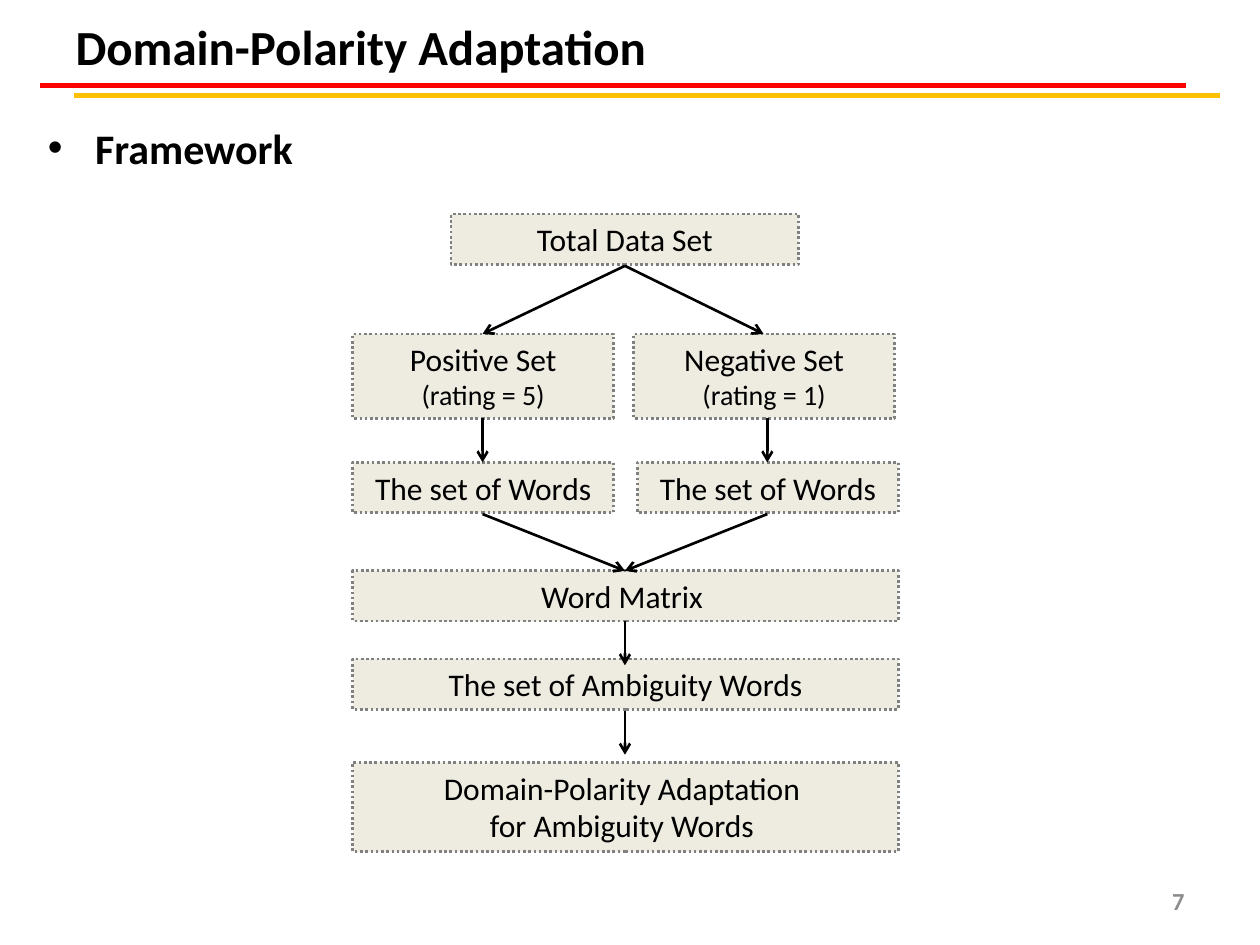
from pptx import Presentation
from pptx.dml.color import RGBColor
from pptx.enum.dml import MSO_LINE
from pptx.enum.shapes import MSO_CONNECTOR, MSO_SHAPE
from pptx.enum.text import MSO_ANCHOR, PP_ALIGN
from pptx.oxml.ns import qn
from pptx.util import Inches, Pt
from lxml import etree

RECT, STRAIGHT = MSO_SHAPE.RECTANGLE, MSO_CONNECTOR.STRAIGHT
LEFT, CENTER, RIGHT = PP_ALIGN.LEFT, PP_ALIGN.CENTER, PP_ALIGN.RIGHT
DOTTED, MIDDLE, TOP = MSO_LINE.ROUND_DOT, MSO_ANCHOR.MIDDLE, MSO_ANCHOR.TOP

COL, HALF, FULL = 2.8, 2.07, 4.33  # left edge and widths of the flow chart
ROW = 0.4
MID, LEFT_MID, RIGHT_MID = 4.96, 3.83, 6.09
STEP = 0.35  # length of a vertical arrow

# left, top, width, height, lines of (text, size)
BOXES = [
    (3.58, 1.7, 2.76, ROW, [("Total Data Set", 18)]),
    (COL, 2.65, HALF, 0.67, [("Positive Set", 18), ("(rating = 5)", 16)]),
    (5.03, 2.65, HALF, 0.67, [("Negative Set", 18), ("(rating = 1)", 16)]),
    (COL, 3.67, HALF, ROW, [("The set of Words", 18)]),
    (5.06, 3.67, HALF, ROW, [("The set of Words", 18)]),
    (COL, 4.53, FULL, ROW, [("Word Matrix ", 18)]),
    (COL, 5.23, FULL, ROW, [("The set of Ambiguity Words", 18)]),
    (COL, 6.05, FULL, 0.71, [("Domain-Polarity Adaptation ", 18),
                             ("for Ambiguity Words ", 18)]),
]
DIAGONAL_ARROWS = [
    (MID, 2.11, LEFT_MID, 2.65),
    (MID, 2.11, 6.06, 2.65),
    (LEFT_MID, 4.08, MID, 4.53),
    (RIGHT_MID, 4.08, MID, 4.53),
]
DOWN_ARROWS = [(LEFT_MID, 3.32), (RIGHT_MID, 3.32), (MID, 4.93), (MID, 5.64)]
TITLE_RULES = [(0.32, 0.68, "FF0000"), (0.59, 0.76, "FFC000")]
RULE_LENGTH = 9.09


def rgb(value):
    return RGBColor.from_string(value)


def place(sp, left, top, width, height):
    sp.left, sp.top = Inches(left), Inches(top)
    sp.width, sp.height = Inches(width), Inches(height)


def write(sp, lines, align, anchor, bold=False, color="000000"):
    tf = sp.text_frame
    tf.word_wrap = True
    tf.vertical_anchor = anchor
    tf.text = "\n".join(text for text, _ in lines)
    for p, (_, size) in zip(tf.paragraphs, lines):
        p.alignment = align
        font = p.runs[0].font
        font.name, font.size, font.bold = "Calibri", Pt(size), bold
        font.color.rgb = rgb(color)


def add_line(x1, y1, x2, y2, color, width, arrow=False):
    line = slide.shapes.add_connector(
        STRAIGHT, Inches(x1), Inches(y1), Inches(x2), Inches(y2))
    line.line.color.rgb = rgb(color)
    line.line.width = Pt(width)
    if arrow:
        etree.SubElement(line.line._get_or_add_ln(), qn("a:tailEnd"), type="arrow")
    etree.SubElement(line._element.spPr, qn("a:effectLst"))


def add_box(left, top, width, height, lines):
    sp = slide.shapes.add_shape(
        RECT, Inches(left), Inches(top), Inches(width), Inches(height))
    sp.shadow.inherit = False
    sp.fill.solid()
    sp.fill.fore_color.rgb = rgb("EEECE1")
    sp.line.color.rgb = rgb("808080")
    sp.line.width = Pt(1.5)
    sp.line.dash_style = DOTTED
    write(sp, lines, CENTER, TOP)


prs = Presentation()
prs.slide_width, prs.slide_height = Inches(10), Inches(7.5)
slide = prs.slides.add_slide(prs.slide_layouts[1])

title, body = slide.placeholders[0], slide.placeholders[1]
place(title, 0.5, -0.26, 9, 1.25)
write(title, [("Domain-Polarity Adaptation", 28)], LEFT, MIDDLE, bold=True)
place(body, 0.28, 0.92, 9.36, 6.46)
write(body, [("Framework", 24)], LEFT, TOP, bold=True)

for x, y, color in TITLE_RULES:
    add_line(x, y, x + RULE_LENGTH, y, color, 3)

number = slide.shapes.add_textbox(
    Inches(7.17), Inches(6.95), Inches(2.33), Inches(0.4))
write(number, [("7", 14)], RIGHT, MIDDLE, bold=True, color="8C8C8C")

for box in BOXES:
    add_box(*box)
for arrow in DIAGONAL_ARROWS + [(x, y, x, y + STEP) for x, y in DOWN_ARROWS]:
    add_line(*arrow, "000000", 1.5, arrow=True)

prs.save("out.pptx")
